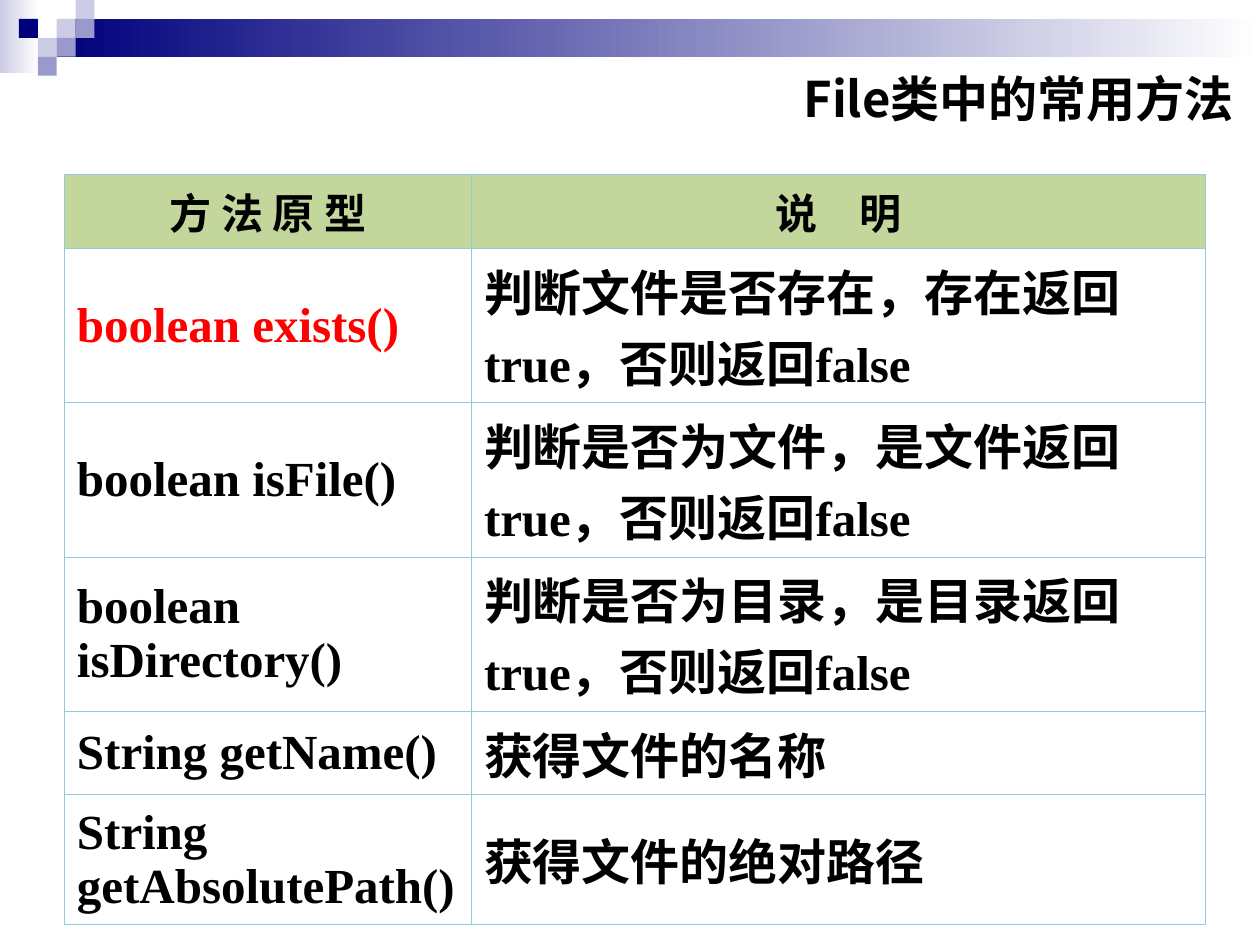
"""Build a slide that lists the common methods of the File class."""
from typing import NamedTuple

from lxml.etree import SubElement
from pptx import Presentation
from pptx.dml.color import RGBColor
from pptx.enum.shapes import MSO_SHAPE
from pptx.enum.text import MSO_ANCHOR, PP_ALIGN
from pptx.oxml.ns import qn
from pptx.util import Pt

HUES = {
    "navy": "00007D", "mid": "9999CC", "pale": "CCCCE6", "white": "FFFFFF",
    "black": "000000", "red": "FF0000", "green": "C3D69B", "line": "93CDDD",
}
HAN = "Noto Sans CJK SC"
ROMAN = "Times New Roman"
STEP = 10.8
WIDTHS = (232.6, 419.6)


class Band(NamedTuple):
    left: float
    top: float
    width: float
    height: float
    hue: str


class Tile(NamedTuple):
    col: int
    row: int
    hue: str


class Entry(NamedTuple):
    method: str
    note: str
    height: float
    hue: str = "black"


BANDS = (
    Band(0, 0, 22.3, 41.8, "pale"),
    Band(32.4, STEP, 687.6, 21.6, "navy"),
)
TILES = (
    Tile(3, 1, "pale"), Tile(4, 0, "pale"), Tile(4, 1, "mid"),
    Tile(2, 2, "pale"), Tile(1, 1, "navy"), Tile(3, 2, "mid"),
    Tile(2, 3, "mid"),
)
ENTRIES = (
    Entry("boolean exists()", "判断文件是否存在，存在返回true，否则返回false", 88, "red"),
    Entry("boolean isFile()", "判断是否为文件，是文件返回true，否则返回false", 88),
    Entry("boolean isDirectory()", "判断是否为目录，是目录返回true，否则返回false", 88),
    Entry("String getName()", "获得文件的名称", 47.6),
    Entry("String getAbsolutePath()", "获得文件的绝对路径", 74.2),
)


def color(hue: str) -> RGBColor:
    return RGBColor.from_string(HUES[hue])


def add_rect(slide, left: float, top: float, width: float, height: float):
    rect = slide.shapes.add_shape(
        MSO_SHAPE.RECTANGLE, Pt(left), Pt(top), Pt(width), Pt(height))
    rect.shadow.inherit = False
    rect.line.fill.background()
    return rect


def draw_band(slide, band: Band) -> None:
    fill = add_rect(slide, *band[:4]).fill
    fill.gradient()
    fill.gradient_angle = 0
    for stop, hue, place in zip(fill.gradient_stops, (band.hue, "white"), (0, 1)):
        stop.color.rgb = color(hue)
        stop.position = place


def draw_tile(slide, tile: Tile) -> None:
    fill = add_rect(slide, tile.col * STEP, tile.row * STEP, STEP, STEP).fill
    fill.solid()
    fill.fore_color.rgb = color(tile.hue)


def write(frame, text: str, size: float, face: str, hue: str, align) -> None:
    frame.text = text
    para = frame.paragraphs[0]
    para.alignment = align
    para.space_before = Pt(0)
    font = para.font
    font.size = Pt(size)
    font.bold = True
    font.color.rgb = color(hue)
    font.name = face
    props = para._p.pPr.find(qn("a:defRPr"))
    SubElement(props, qn("a:ea"), typeface=HAN)


def add_edge(cell, side: str, weight: float) -> None:
    props = cell._tc.get_or_add_tcPr()
    edge = SubElement(props, qn(f"a:ln{side}"), w=str(int(Pt(weight))))
    fill = SubElement(edge, qn("a:solidFill"))
    SubElement(fill, qn("a:srgbClr"), val=HUES["line"])


def style_cell(cell, hue: str, outer: dict[str, bool]) -> None:
    for side, rim in outer.items():
        add_edge(cell, side, 0.75 if rim else 0.45)
    cell.fill.solid()
    cell.fill.fore_color.rgb = color(hue)
    cell.vertical_anchor = MSO_ANCHOR.MIDDLE


def draw_table(slide) -> None:
    heights = (42.2, *(entry.height for entry in ENTRIES))
    table = slide.shapes.add_table(
        len(heights), len(WIDTHS), Pt(36.8), Pt(99.8),
        Pt(sum(WIDTHS)), Pt(sum(heights))).table
    table.first_row = table.horz_banding = False
    for col, width in zip(table.columns, WIDTHS):
        col.width = Pt(width)
    for i, height in enumerate(heights):
        table.rows[i].height = Pt(height)
        for j in range(len(WIDTHS)):
            outer = {"L": j == 0, "R": j == len(WIDTHS) - 1,
                     "T": i == 0, "B": i == len(heights) - 1}
            style_cell(table.cell(i, j), "white" if i else "green", outer)
    for j, head in enumerate(("方 法 原 型", "说　明")):
        write(table.cell(0, j).text_frame, head, 24, HAN, "black", PP_ALIGN.CENTER)
    for i, entry in enumerate(ENTRIES, 1):
        pairs = ((entry.method, entry.hue), (entry.note, "black"))
        for j, (text, hue) in enumerate(pairs):
            write(table.cell(i, j).text_frame, text, 28, ROMAN, hue, PP_ALIGN.LEFT)


def draw_title(slide) -> None:
    title = slide.shapes.title
    title.left, title.top = Pt(433.4), Pt(31.7)
    title.width, title.height = Pt(278.6), Pt(48.2)
    title.text_frame.vertical_anchor = MSO_ANCHOR.MIDDLE
    write(title.text_frame, "File类中的常用方法", 28, HAN, "black", PP_ALIGN.RIGHT)


def main() -> None:
    deck = Presentation()
    deck.slide_width, deck.slide_height = Pt(720), Pt(540)
    slide = deck.slides.add_slide(deck.slide_layouts[5])
    for band in BANDS:
        draw_band(slide, band)
    for tile in TILES:
        draw_tile(slide, tile)
    draw_title(slide)
    draw_table(slide)
    deck.save("out.pptx")


if __name__ == "__main__":
    main()
